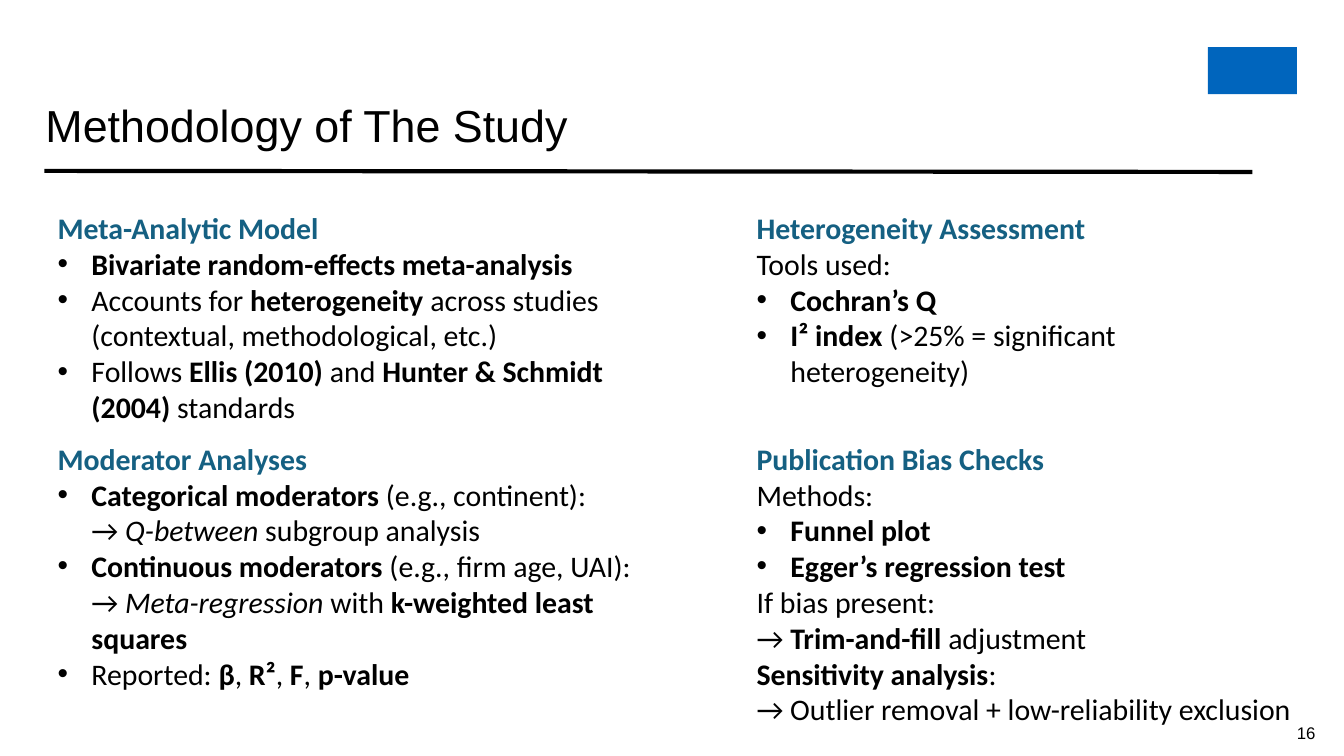
"""Build the methodology slide with four text blocks under a ruled title."""
from lxml.etree import SubElement
from pptx import Presentation
from pptx.dml.color import RGBColor
from pptx.enum.shapes import MSO_CONNECTOR as Connector, MSO_SHAPE as Shape
from pptx.oxml.ns import qn
from pptx.util import Cm, Pt

COLORS = {"text": "000000", "heading": "156082", "mark": "0065BD"}
TITLE = "Methodology of The Study"
PAGE_NUMBER = "16"
COLUMNS = (0.84, 14.05)
ROWS = (3.84, 8.2)
INDENT = 0.64
HARD_SPACE = chr(160)

# A tilde stands for a non-breaking space; "b" is bold and "i" is italic.
BLOCKS = [
    {"heading": "Meta-Analytic Model", "column": 0, "row": 0, "size": (12.57, 4.37), "lines": [
        ("•", [("Bivariate random-effects meta-analysis", "b")]),
        ("•", [("Accounts for~", ""), ("heterogeneity", "b"),
               ("~across studies (contextual, methodological, etc.)", "")]),
        ("•", [("Follows~", ""), ("Ellis (2010)", "b"), ("~and~", ""),
               ("Hunter & Schmidt (2004)", "b"), ("~standards", "")]),
    ]},
    {"heading": "Heterogeneity Assessment", "column": 1, "row": 0, "size": (9.6, 3.68), "lines": [
        ("", [("Tools used:", "")]),
        ("•", [("Cochran’s Q", "b")]),
        ("•", [("I² index", "b"), ("~(>25% = significant heterogeneity)", "")]),
    ]},
    {"heading": "Moderator Analyses", "column": 0, "row": 1, "size": (11.51, 5.05), "lines": [
        ("•", [("Categorical moderators", "b"), ("~(e.g., continent):\n→~", ""),
               ("Q-between", "i"), ("~subgroup analysis", "")]),
        ("•", [("Continuous moderators", "b"), ("~(e.g., firm age, UAI):\n→~", ""),
               ("Meta-regression", "i"), ("~with~", ""), ("k-weighted least squares", "b")]),
        ("•", [("Reported:~", ""), ("β", "b"), (",~", ""), ("R²", "b"), (",~", ""),
               ("F", "b"), (",~", ""), ("p-value", "b")]),
    ]},
    {"heading": "Publication Bias Checks", "column": 1, "row": 1, "size": (12.57, 5.74), "lines": [
        ("", [("Methods:", "")]),
        ("•", [("Funnel plot", "b")]),
        ("•", [("Egger’s regression test", "b")]),
        ("", [("If bias present:\n→~", ""), ("Trim-and-fill", "b"), ("~adjustment", "")]),
        ("", [("Sensitivity analysis", "b"),
              (":\n→ Outlier removal + low-reliability exclusion", "")]),
    ]},
]


def rgb(name):
    return RGBColor.from_string(COLORS[name])


def add_box(slide, left, top, width, height, margins=True):
    frame = slide.shapes.add_textbox(Cm(left), Cm(top), Cm(width), Cm(height)).text_frame
    frame.word_wrap = True
    if not margins:
        frame.margin_left = frame.margin_right = frame.margin_top = frame.margin_bottom = 0
    return frame


def add_text(paragraph, text, size, font_name, color="text", style=""):
    for index, part in enumerate(text.replace("~", HARD_SPACE).split("\n")):
        if index:
            paragraph.add_line_break()
        run = paragraph.add_run()
        run.text = part
        font = run.font
        font.size, font.name = Pt(size), font_name
        font.bold, font.italic = style == "b", style == "i"
        font.color.rgb = rgb(color)


def add_bullet(paragraph, symbol):
    properties = paragraph._p.get_or_add_pPr()
    properties.set("marL", str(Cm(INDENT)))
    properties.set("indent", str(-Cm(INDENT)))
    SubElement(properties, qn("a:buFont")).set("typeface", "Arial")
    SubElement(properties, qn("a:buChar")).set("char", symbol)


def add_block(slide, block):
    frame = add_box(slide, COLUMNS[block["column"]], ROWS[block["row"]], *block["size"])
    add_text(frame.paragraphs[0], block["heading"], 16, "Calibri", "heading", "b")
    for bullet, runs in block["lines"]:
        paragraph = frame.add_paragraph()
        if bullet:
            add_bullet(paragraph, bullet)
        for text, style in runs:
            add_text(paragraph, text, 16, "Calibri", style=style)


def add_header(slide):
    mark = slide.shapes.add_shape(Shape.RECTANGLE, Cm(22.83), Cm(0.89), Cm(1.68), Cm(0.89))
    mark.shadow.inherit = False
    mark.fill.solid()
    mark.fill.fore_color.rgb = rgb("mark")
    mark.line.fill.background()

    rule = slide.shapes.add_connector(
        Connector.STRAIGHT, Cm(0.84), Cm(3.23), Cm(23.67), Cm(3.25))
    rule.line.color.rgb = rgb("text")
    rule.line.width = Pt(2.25)
    SubElement(rule._element.spPr, qn("a:effectLst"))

    title = add_box(slide, 0.86, 1.85, 15.27, 5.28, margins=False)
    add_text(title.paragraphs[0], TITLE, 24, "Arial")


def main():
    presentation = Presentation()
    presentation.slide_width, presentation.slide_height = Cm(25.4), Cm(14.29)
    slide = presentation.slides.add_slide(presentation.slide_layouts[6])
    add_header(slide)
    for block in BLOCKS:
        add_block(slide, block)
    number = add_box(slide, 24.51, 13.59, 0.43, 0.43, margins=False).paragraphs[0]
    number.line_spacing = Pt(12.6)
    add_text(number, PAGE_NUMBER, 9, "Arial")
    presentation.save("out.pptx")


if __name__ == "__main__":
    main()
